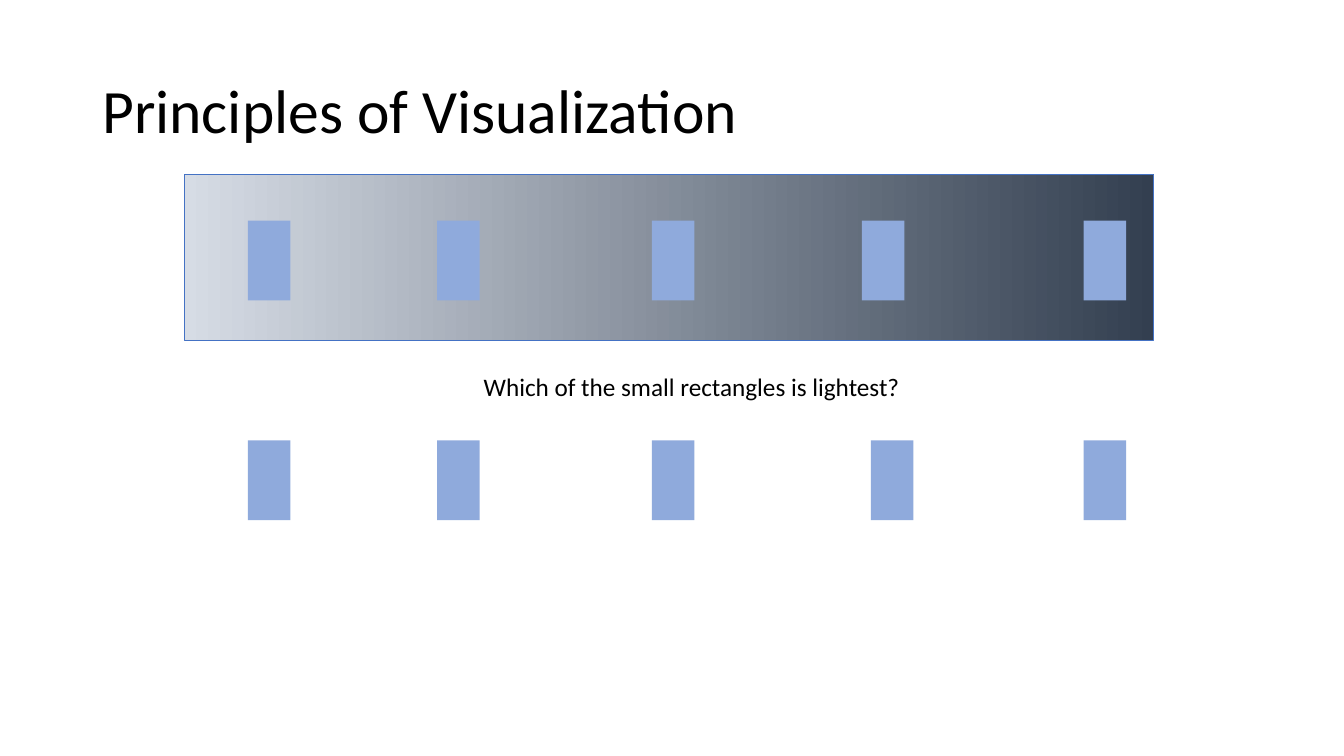
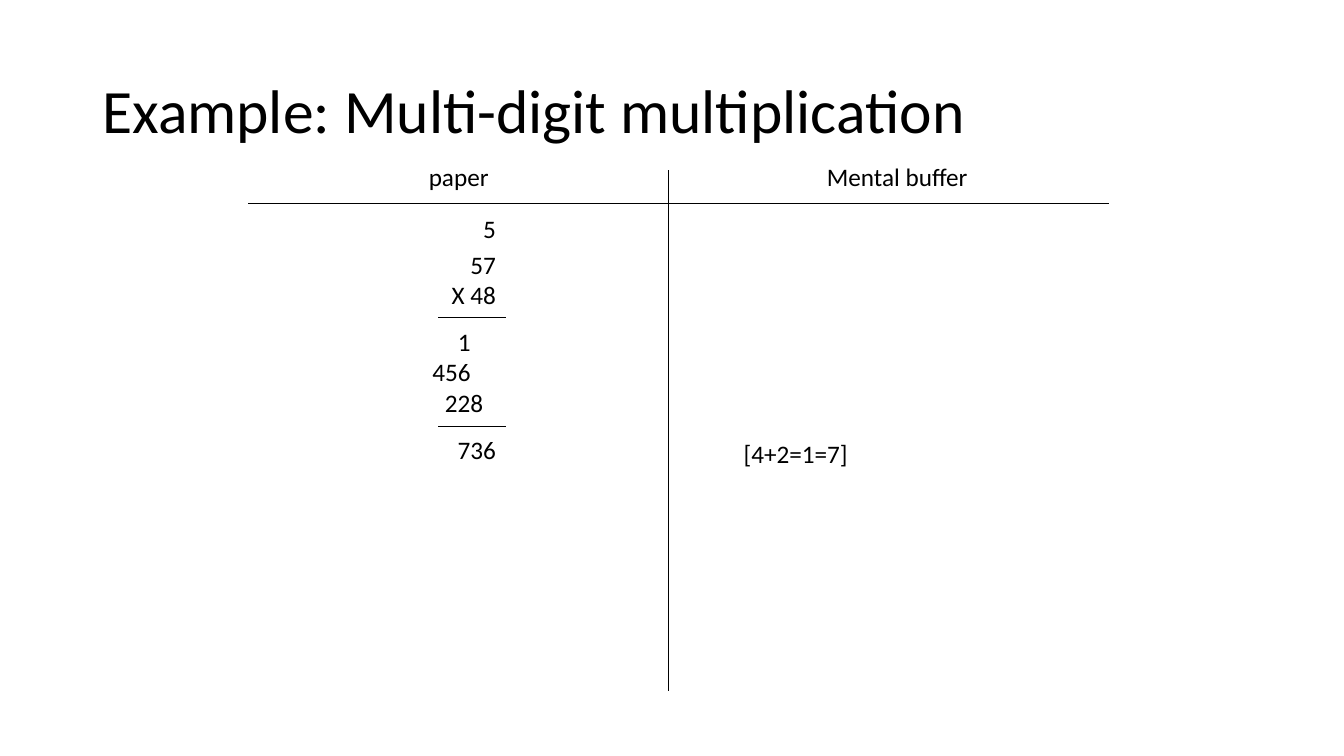
import pptx
import pptx.dml.color
import pptx.enum.shapes
import pptx.enum.text
import pptx.oxml.ns
import pptx.util
from lxml import etree
from pptx.util import Cm

ALIGN = pptx.enum.text.PP_ALIGN


class Deck:
    """Holds the shared style and the slide being built."""

    FONT = "Calibri"
    BODY_SIZE, TITLE_SIZE = 18, 44
    COLORS = {"ink": "000000", "chip": "8FAADC", "outline": "4472C4",
              "light": "D6DCE5", "dark": "333F50"}
    DIGIT_WIDTH = Cm(0.32)

    def __init__(self):
        self.presentation = pptx.Presentation()
        self.presentation.slide_width = Cm(33.87)
        self.presentation.slide_height = Cm(19.05)
        self.slide = None

    def color(self, name):
        return pptx.dml.color.RGBColor.from_string(self.COLORS[name])

    def new_slide(self, title):
        layout = self.presentation.slide_layouts[6]
        self.slide = self.presentation.slides.add_slide(layout)
        heading = self.text([title], 2.33, 1.01, 29.21, 3.68, size=self.TITLE_SIZE)
        heading.vertical_anchor = pptx.enum.text.MSO_ANCHOR.MIDDLE
        heading.paragraphs[0].line_spacing = 0.9

    def text(self, lines, left, top, width, height=1.02,
             align=ALIGN.LEFT, size=BODY_SIZE, wrap=True):
        box = self.slide.shapes.add_textbox(Cm(left), Cm(top), Cm(width), Cm(height))
        frame = box.text_frame
        frame.word_wrap = wrap
        frame.text = "\n".join(lines)
        for paragraph in frame.paragraphs:
            paragraph.alignment = align
            paragraph.font.name = self.FONT
            paragraph.font.size = pptx.util.Pt(size)
            paragraph.font.color.rgb = self.color("ink")
        return frame

    def figures(self, top, rows):
        """Stack right-aligned numbers; each row is (text, places shifted left)."""
        frame = self.text([number for number, _ in rows], 10.26, top, 2.49,
                          0.25 + 0.77 * len(rows), align=ALIGN.RIGHT)
        for paragraph, (_, places) in zip(frame.paragraphs, rows):
            if places:
                properties = paragraph._p.get_or_add_pPr()
                properties.set("marR", str(places * self.DIGIT_WIDTH))

    def rectangle(self, left, top, width, height):
        shape = self.slide.shapes.add_shape(
            pptx.enum.shapes.MSO_SHAPE.RECTANGLE,
            Cm(left), Cm(top), Cm(width), Cm(height))
        shape.shadow.inherit = False
        return shape

    def gradient_band(self, left, top, width, height):
        band = self.rectangle(left, top, width, height)
        band.fill.gradient()
        band.fill.gradient_angle = 0
        for stop, name in zip(band.fill.gradient_stops, ("light", "dark")):
            stop.color.rgb = self.color(name)
        band.line.color.rgb = self.color("outline")
        band.line.width = pptx.util.Pt(0.5)

    def chip_row(self, top, lefts):
        for left in lefts:
            chip = self.rectangle(left, top, 1.07, 2.01)
            chip.fill.solid()
            chip.fill.fore_color.rgb = self.color("chip")
            chip.line.fill.background()

    def rule(self, x1, y1, x2, y2):
        line = self.slide.shapes.add_connector(
            pptx.enum.shapes.MSO_CONNECTOR.STRAIGHT, Cm(x1), Cm(y1), Cm(x2), Cm(y2))
        line.line.color.rgb = self.color("ink")
        line.line.width = pptx.util.Pt(1)
        etree.SubElement(line._element.spPr, pptx.oxml.ns.qn("a:effectLst"))


def lightness_slide(deck):
    deck.new_slide("Principles of Visualization")
    deck.gradient_band(4.65, 4.39, 24.43, 4.19)
    deck.chip_row(5.56, (6.25, 11.02, 16.43, 21.72, 27.31))
    deck.text(["Which of the small rectangles is lightest?"],
              11.94, 9.22, 11.13, wrap=False)
    deck.chip_row(11.1, (6.25, 11.02, 16.43, 21.95, 27.31))


def multiplication_slide(deck):
    deck.new_slide("Example: Multi-digit multiplication")
    deck.rule(6.25, 5.13, 27.94, 5.13)
    deck.rule(16.84, 4.29, 16.84, 17.42)
    for column, left in (("paper", 7.14), ("Mental buffer", 18.19)):
        deck.text([column], left, 3.94, 8.84, align=ALIGN.CENTER)

    deck.figures(5.26, [("5", 0)])
    deck.figures(6.15, [("57", 0), ("X 48", 0)])
    deck.figures(8.1, [("1", 2), ("456", 0), ("228", 1)])
    deck.figures(10.82, [("736", 0)])
    for y in (8, 10.74):
        deck.rule(11.05, y, 12.75, y)
    deck.text(["[4+2=1=7]"], 18.49, 10.92, 3.18, wrap=False)


def main():
    deck = Deck()
    lightness_slide(deck)
    multiplication_slide(deck)
    deck.presentation.save("out.pptx")


if __name__ == "__main__":
    main()
